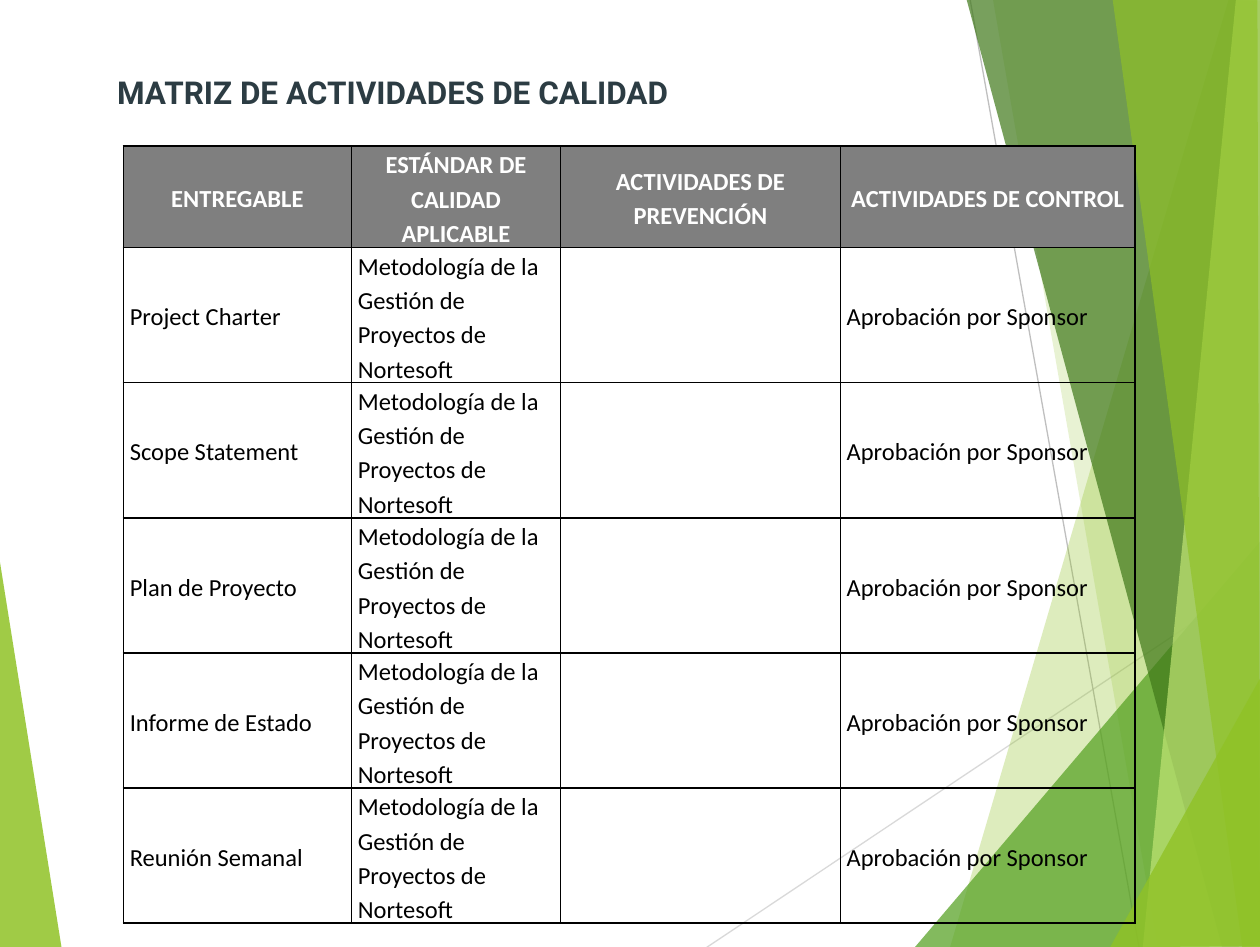
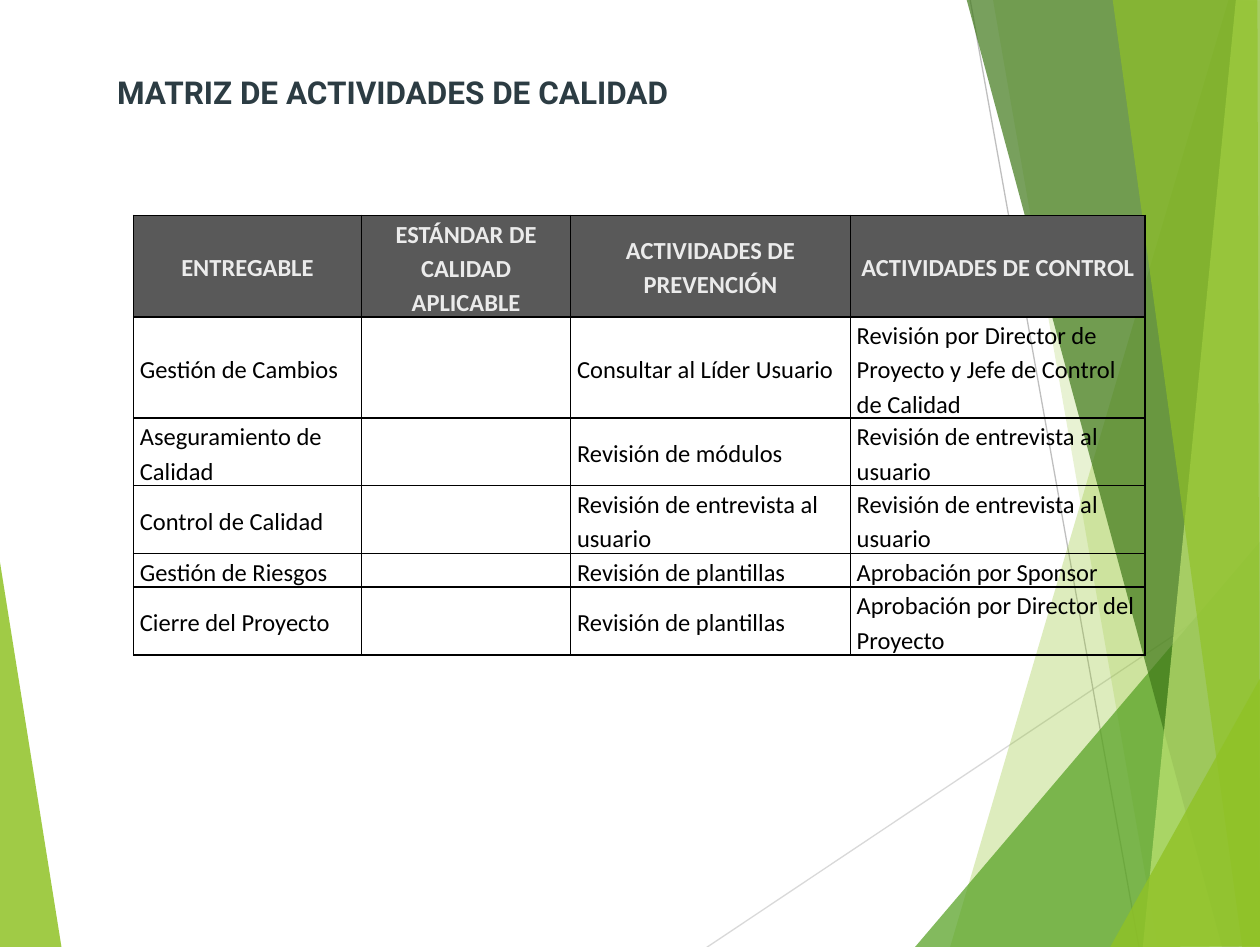
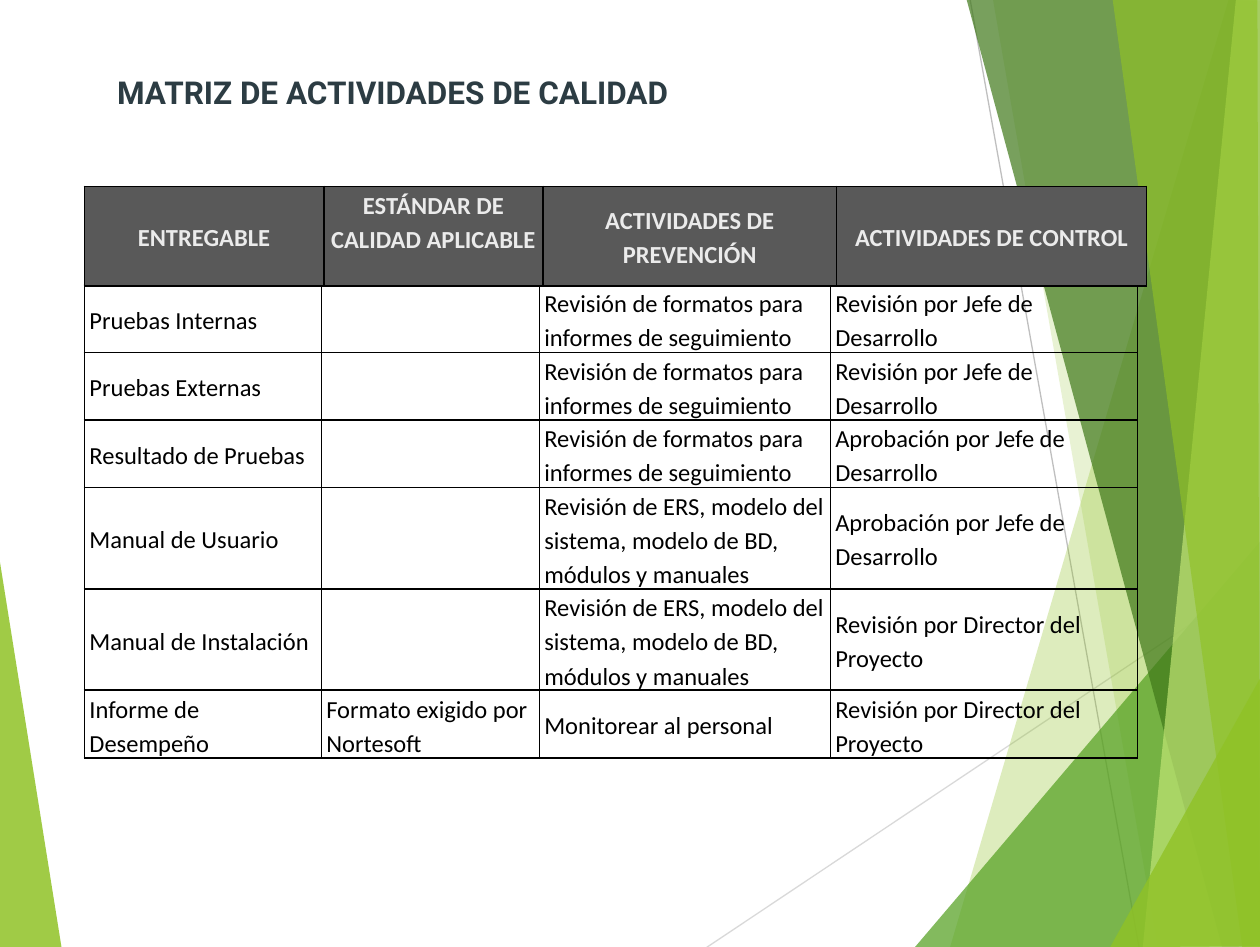
from pptx import Presentation
from pptx import util as u
from pptx.dml.color import RGBColor
from pptx.enum import shapes, text
from pptx.oxml.xmlchemy import OxmlElement

GREEN, MID_GREEN, DARK_GREEN, LIME = "90C226", "54A021", "3F7819", "C0E474"
TITLE_INK, BLACK, WHITE, PALE = "2C3C43", "000000", "FFFFFF", "EBEBEB"
GREY, DARK_GREY = "7F7F7F", "595959"
TITLE = "MATRIZ DE ACTIVIDADES DE CALIDAD"
HEADINGS = ["ENTREGABLE", "ESTÁNDAR DE CALIDAD APLICABLE",
            "ACTIVIDADES DE PREVENCIÓN", "ACTIVIDADES DE CONTROL"]
STANDARD_COLUMN = 1
COLUMNS = [1.81, 1.66, 2.22, 2.34]

LEFT_WEDGE = (GREEN, 85, [(-0.01, 4.4), (0.49, 7.53), (-0.01, 7.52)])
RAYS = [("D9D9D9", (5.61, 7.52), (10.01, 4.58)),
        ("BFBFBF", (7.7, 0), (9.04, 7.52))]
SHARDS = [
    (GREEN, 30, [(9.75, 0), (7.54, 7.52), (10.02, 7.53), (10.01, 0.01)]),
    (GREEN, 20, [(7.88, -0.01), (9.19, 7.52), (10.01, 7.52), (10.01, -0.01)]),
    (MID_GREEN, 72, [(7.26, 7.52), (10, 4.3), (10.01, 7.52)]),
    (DARK_GREEN, 70, [(7.67, -0.01), (9.7, 7.52), (10.01, 7.51), (10.01, -0.01)]),
    (LIME, 70, [(9.81, -0.01), (9.07, 7.52), (10.01, 7.52), (10, -0.01)]),
    (GREEN, 65, [(8.83, -0.01), (9.86, 7.52), (10, 7.52), (9.98, -0.01)]),
    (GREEN, 80, [(8.81, 7.52), (10.01, 5.37), (10.01, 7.51)]),
]

METHOD = "Metodología de la Gestión de Proyectos de Nortesoft"
SPONSOR = "Aprobación por Sponsor"
INTERVIEW = "Revisión de entrevista al usuario"
TEMPLATES = "Revisión de plantillas"
FORMATS = "Revisión de formatos para informes de seguimiento"
MANUALS = "Revisión de ERS, modelo del sistema, modelo de BD, módulos y manuales"
LEAD_REVIEW = "Revisión por Jefe de Desarrollo"
LEAD_APPROVAL = "Aprobación por Jefe de Desarrollo"
DIRECTOR_REVIEW = "Revisión por Director del Proyecto"

MANAGEMENT = [[name, METHOD, "", SPONSOR] for name in
              ("Project Charter", "Scope Statement", "Plan de Proyecto",
               "Informe de Estado", "Reunión Semanal")]
PROCESSES = [
    ["Gestión de Cambios", "", "Consultar al Líder Usuario",
     "Revisión por Director de Proyecto y Jefe de Control de Calidad"],
    ["Aseguramiento de Calidad", "", "Revisión de módulos", INTERVIEW],
    ["Control de Calidad", "", INTERVIEW, INTERVIEW],
    ["Gestión de Riesgos", "", TEMPLATES, SPONSOR],
    ["Cierre del Proyecto", "", TEMPLATES, "Aprobación por Director del Proyecto"],
]
TESTS = [
    ["Pruebas Internas", "", FORMATS, LEAD_REVIEW],
    ["Pruebas Externas", "", FORMATS, LEAD_REVIEW],
    ["Resultado de Pruebas", "", FORMATS, LEAD_APPROVAL],
    ["Manual de Usuario", "", MANUALS, LEAD_APPROVAL],
    ["Manual de Instalación", "", MANUALS, DIRECTOR_REVIEW],
    ["Informe de Desempeño", "Formato exigido por Nortesoft",
     "Monitorear al personal", DIRECTOR_REVIEW],
]


def color(value):
    return RGBColor.from_string(value)


def set_font(paragraph, name, size, ink, bold=False):
    font = paragraph.font
    font.name, font.size, font.bold = name, u.Pt(size), bold
    font.color.rgb = color(ink)


def add_shard(slide, left, top, fill, opacity, points):
    corners = [(u.Inches(left + x), u.Inches(top + y)) for x, y in points]
    outline = slide.shapes.build_freeform(*corners[0])
    outline.add_line_segments(corners[1:], close=True)
    shard = outline.convert_to_shape()
    shard.shadow.inherit = False
    shard.fill.solid()
    shard.fill.fore_color.rgb = color(fill)
    alpha = OxmlElement("a:alpha")
    alpha.set("val", str(opacity * 1000))
    shard.fill._xPr.solidFill[0].append(alpha)
    shard.line.fill.background()
    return shard


def add_ray(slide, left, top, ink, start, end):
    ray = slide.shapes.add_connector(
        shapes.MSO_CONNECTOR.STRAIGHT,
        u.Inches(left + start[0]), u.Inches(top + start[1]),
        u.Inches(left + end[0]), u.Inches(top + end[1]))
    ray.line.color.rgb = color(ink)
    ray.line.width = u.Pt(0.75)
    ray._element.spPr.append(OxmlElement("a:effectLst"))
    return ray


def decorate_layout(layout, slide, left, top):
    facets = [add_shard(slide, left, top, *LEFT_WEDGE)]
    facets += [add_ray(slide, left, top, *ray) for ray in RAYS]
    facets += [add_shard(slide, left, top, *shard) for shard in SHARDS]
    for i, facet in enumerate(facets):
        facet._element._nvXxPr.cNvPr.set("id", str(20 + i))
        layout.shapes._spTree.insert(2 + i, facet._element)


def add_title(slide, left, top, width, height):
    title = slide.shapes.title
    title.left, title.top = u.Inches(left), u.Inches(top)
    title.width, title.height = u.Inches(width), u.Inches(height)
    frame = title.text_frame
    frame.text = TITLE
    frame.word_wrap = False
    frame.auto_size = text.MSO_AUTO_SIZE.SHAPE_TO_FIT_TEXT
    frame.vertical_anchor = text.MSO_ANCHOR.TOP
    paragraph = frame.paragraphs[0]
    paragraph.alignment = text.PP_ALIGN.LEFT
    set_font(paragraph, "Roboto", 18, TITLE_INK, True)


def add_borders(cell):
    properties = cell._tc.get_or_add_tcPr()
    for side in "LRTB":
        border = OxmlElement(f"a:ln{side}")
        border.set("w", str(u.Pt(1)))
        fill = OxmlElement("a:solidFill")
        ink = OxmlElement("a:srgbClr")
        ink.set("val", BLACK)
        fill.append(ink)
        border.append(fill)
        properties.append(border)


def fill_cell(cell, words, column, inset, heading_style):
    cell.margin_left = cell.margin_right = u.Inches(inset)
    cell.margin_top = cell.margin_bottom = 0
    top_aligned = column == STANDARD_COLUMN
    cell.vertical_anchor = text.MSO_ANCHOR.TOP if top_aligned else text.MSO_ANCHOR.MIDDLE
    add_borders(cell)
    cell.text = words
    paragraph = cell.text_frame.paragraphs[0]
    paragraph.line_spacing = 1.15
    if heading_style:
        background, ink = heading_style
        cell.fill.solid()
        cell.fill.fore_color.rgb = color(background)
        paragraph.alignment = text.PP_ALIGN.CENTER
        set_font(paragraph, "Calibri", 14, ink, True)
    else:
        cell.fill.background()
        set_font(paragraph, "Calibri", 14, BLACK)
    if not words:
        paragraph._p.get_or_add_endParaRPr().set("sz", "1400")


def add_matrix(slide, left, top, height, columns, heights, rows,
               heading_style=None, inset=0.05):
    frame = slide.shapes.add_table(
        len(rows), len(columns), u.Inches(left), u.Inches(top),
        u.Inches(sum(columns)), u.Inches(height))
    matrix = frame.table
    matrix.first_row = matrix.horz_banding = False
    for column, width in zip(matrix.columns, columns):
        column.width = u.Inches(width)
    for row, row_height in zip(matrix.rows, heights):
        row.height = u.Inches(row_height)
    frame.height = u.Inches(height)
    for r, row in enumerate(rows):
        for c, words in enumerate(row):
            fill_cell(matrix.cell(r, c), words, c, inset,
                      heading_style if r == 0 else None)


def main():
    deck = Presentation()
    deck.slide_width, deck.slide_height = u.Inches(10), u.Pt(541.25)
    layout = deck.slide_layouts[5]
    management, processes, tests = [deck.slides.add_slide(layout) for _ in range(3)]
    decorate_layout(layout, management, 0, 0)
    for slide in deck.slides:
        add_title(slide, 0.83, 0.53, 4.72, 0.4)

    add_matrix(management, 0.98, 1.16, 6.08, COLUMNS, [0.53] + [0.7] * 5,
               [HEADINGS] + MANAGEMENT, (GREY, WHITE))
    add_matrix(processes, 1.06, 1.71, 3.39, COLUMNS,
               [0.35, 0.53, 0.35, 0.35, 0.18, 0.35],
               [HEADINGS] + PROCESSES, (DARK_GREY, PALE))
    add_matrix(tests, 0.67, 2.26, 3.66, [1.88, 1.73, 2.31, 2.44],
               [0.44] * 5 + [0.29], TESTS, inset=0.04)
    add_matrix(tests, 0.67, 1.48, 0.79, [1.9, 1.74, 2.33, 2.46], [0.79],
               [HEADINGS], (DARK_GREY, PALE))
    deck.save("out.pptx")


if __name__ == "__main__":
    main()
